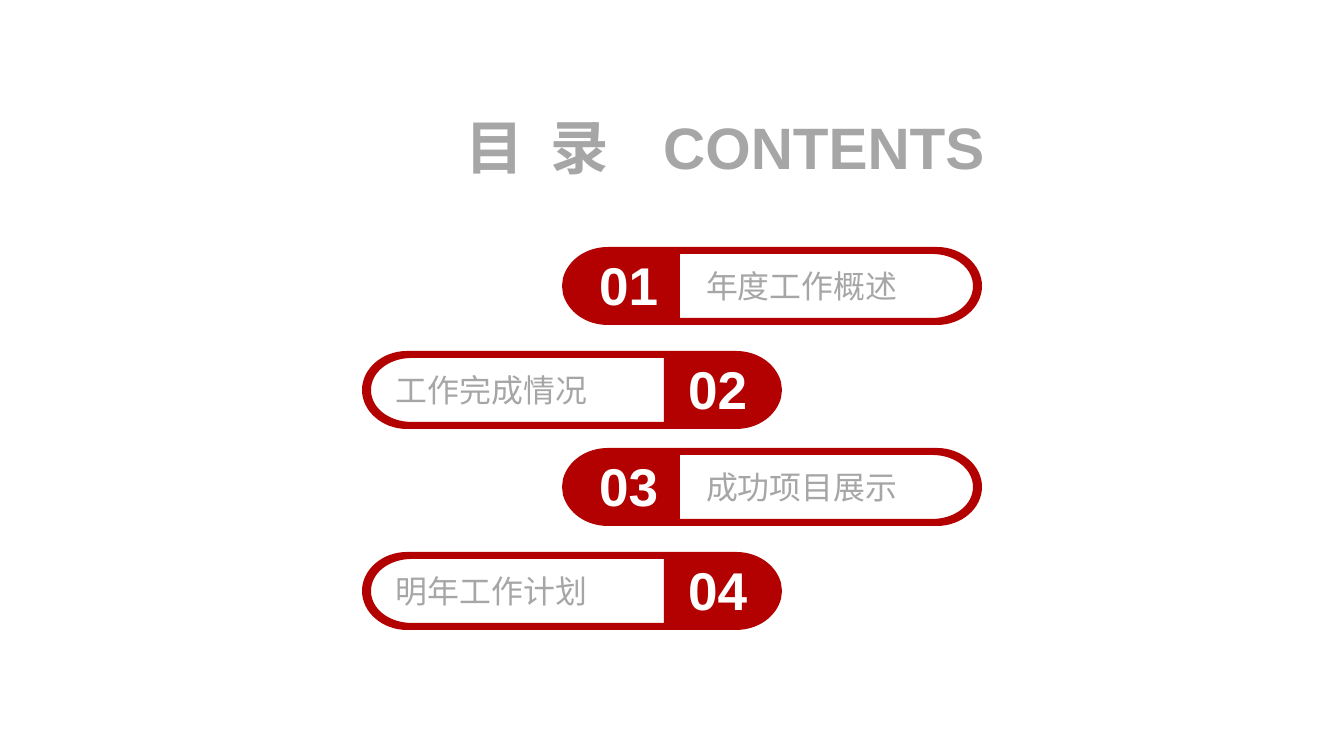
"""Contents slide: a heading over four numbered pills, set alternately right and left."""
import pptx
import pptx.dml.color
import pptx.enum.text
import pptx.oxml.ns
import pptx.util

PX = 914400 / 95.6
INK = {"red": "B30000", "gray": "A6A6A6", "white": "FFFFFF"}
ALIGN = pptx.enum.text.PP_ALIGN
ANCHOR = pptx.enum.text.MSO_ANCHOR
FIT = pptx.enum.text.MSO_AUTO_SIZE


def px(n):
    return pptx.util.Emu(round(n * PX))


def write(shape, words, size, ink, bold, align, anchor, left=0):
    frame = shape.text_frame
    frame.word_wrap = True
    frame.margin_left = px(left)
    frame.margin_top = frame.margin_right = frame.margin_bottom = 0
    frame.vertical_anchor = anchor
    para = frame.paragraphs[0]
    para.alignment = align
    run = para.add_run()
    run.text = words
    run.font.name = "Arial"
    run.font.size = pptx.util.Pt(size)
    run.font.bold = bold
    run.font.color.rgb = pptx.dml.color.RGBColor.from_string(INK[ink])
    return run


deck = pptx.Presentation()
deck.slide_width, deck.slide_height = px(1344), px(756)
slide = deck.slides.add_slide(deck.slide_layouts[6])
shapes = slide.shapes

WIDE = 420
inner = [
    [(118, 7)],
    [(118, 71)],
    [(370, 71)],
    [(393, 71), (411, 57), (411, 39)],
    [(411, 39)],
    [(411, 21), (393, 7), (370, 7)],
]
outer = [
    [(46, 0)],
    [(375, 0)],
    [(400, 0), (420, 18), (420, 39)],
    [(420, 39)],
    [(420, 60), (400, 78), (375, 78)],
    [(46, 78)],
    [(24, 78), (6, 65), (1, 47)],
    [(0, 39)],
    [(1, 31)],
    [(6, 13), (24, 0), (46, 0)],
]

items = [
    ("01", "年度工作概述", 247),
    ("02", "工作完成情况", 351),
    ("03", "成功项目展示", 448),
    ("04", "明年工作计划", 552),
]
for row, (num, label, top) in enumerate(items):
    flip = row % 2 == 1
    left, indent, shift = (362, 34, 311) if flip else (562, 144, 22)
    path = None
    for ring in (inner, outer):
        spots = [
            (px(left + (WIDE - x if flip else x)), px(top + y))
            for part in ring for x, y in part
        ]
        if path is None:
            path = shapes.build_freeform(*spots[0])
        else:
            path.move_to(*spots[0])
        path.add_line_segments(spots[1:], close=True)
    pill = path.convert_to_shape()

    lines = iter(list(pill._element.iter(pptx.oxml.ns.qn("a:lnTo"))))
    for part in inner[1:] + outer[1:]:
        edge = next(lines)
        if len(part) == 3:
            edge.tag = pptx.oxml.ns.qn("a:cubicBezTo")
            for spare in (next(lines), next(lines)):
                edge.append(spare[0])
                spare.getparent().remove(spare)

    pill.shadow.inherit = False
    pill.fill.solid()
    pill.fill.fore_color.rgb = pptx.dml.color.RGBColor.from_string(INK["red"])
    pill.line.fill.background()
    write(pill, label, 24, "gray", False, ALIGN.LEFT, ANCHOR.MIDDLE, indent)

    box = shapes.add_textbox(px(left + shift), px(top + 5), px(89), px(64))
    write(box, num, 40, "white", True, ALIGN.CENTER, ANCHOR.TOP)
    box.text_frame.auto_size = FIT.SHAPE_TO_FIT_TEXT

heads = [
    (449, 176, "目 录", ANCHOR.MIDDLE, 500),
    (658, 332, "CONTENTS", ANCHOR.TOP, 0),
]
for left, wide, words, anchor, gap in heads:
    box = shapes.add_textbox(px(left), px(111), px(wide), px(71))
    run = write(box, words, 44, "gray", True, ALIGN.CENTER, anchor)
    run.font._element.set("spc", str(gap))
    box.text_frame.auto_size = FIT.SHAPE_TO_FIT_TEXT

deck.save("out.pptx")
